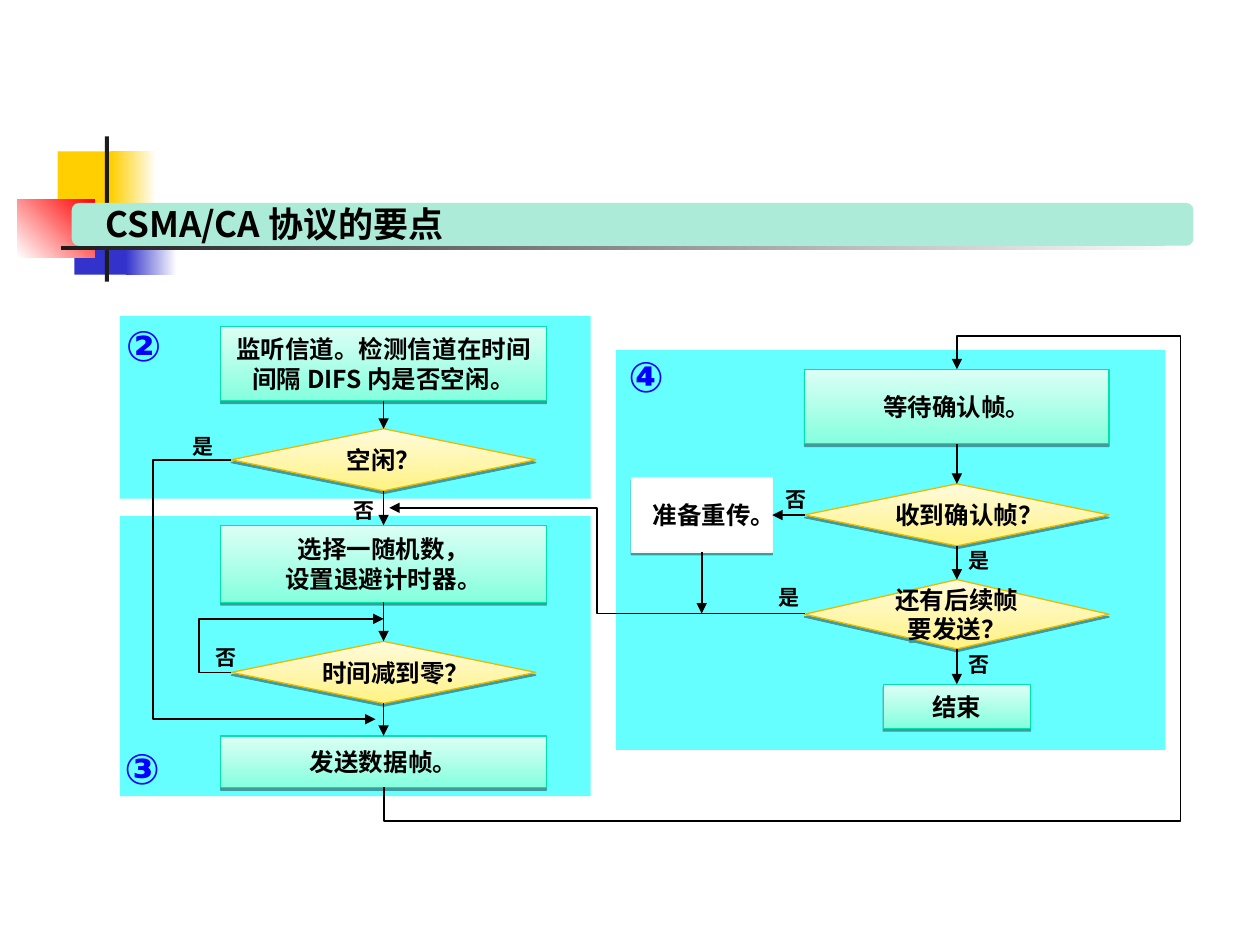
from dataclasses import dataclass

from lxml.etree import SubElement
from pptx import Presentation
from pptx.dml.color import RGBColor
from pptx.enum.shapes import MSO_CONNECTOR, MSO_SHAPE
from pptx.enum.text import MSO_ANCHOR, MSO_AUTO_SIZE, PP_ALIGN
from pptx.oxml.ns import qn
from pptx.util import Pt


@dataclass(frozen=True)
class Theme:
    font: str = "Noto Sans CJK SC"
    number_font: str = "Arial"
    title_size: int = 20
    number_size: int = 24
    node_size: int = 14
    label_size: int = 12
    black: str = "000000"
    white: str = "FFFFFF"
    ink: str = "1C1C1C"
    yellow: str = "FFCF01"
    blue: str = "3333CC"
    red: str = "FF0000"
    number: str = "0000FF"
    panel: str = "66FFFF"
    bar: str = "ABEBD7"
    # Node styles: bottom colour, top colour, outline
    step: tuple = ("85FFDE", "DCFFF5", "00E4A7")
    choice: tuple = ("FFF284", "FFFBDC", "E7BA00")
    plain: tuple = ("FFFFFF", "FFFFFF", "F9F9F9")


T = Theme()


def write(shape, text, size=T.node_size, color=T.black, font=T.font,
          align=PP_ALIGN.LEFT, anchor=MSO_ANCHOR.TOP, wrap=False):
    tf = shape.text_frame
    tf.word_wrap = wrap
    tf.auto_size = MSO_AUTO_SIZE.NONE if wrap else MSO_AUTO_SIZE.SHAPE_TO_FIT_TEXT
    tf.vertical_anchor = anchor
    for i, line in enumerate(text.split("\n")):
        p = tf.paragraphs[0] if i == 0 else tf.add_paragraph()
        p.alignment = align
        r = p.add_run()
        r.text = line
        r.font.size = Pt(size)
        r.font.bold = True
        r.font.name = font
        r.font.color.rgb = RGBColor.from_string(color)
        SubElement(r.font._element, qn("a:ea"), typeface=font)


def add_block(kind, box, colors, angle=0):
    """Add a borderless shape; two colours make a gradient."""
    sp = s.shapes.add_shape(kind, *map(Pt, box))
    sp.shadow.inherit = False
    sp.line.fill.background()
    if len(colors) == 1:
        sp.fill.solid()
        sp.fill.fore_color.rgb = RGBColor.from_string(colors[0])
    else:
        sp.fill.gradient()
        sp.fill.gradient_angle = angle
        for stop, color in zip(sp.fill.gradient_stops, colors):
            stop.color.rgb = RGBColor.from_string(color)
    return sp


prs = Presentation()
prs.slide_width, prs.slide_height = Pt(720), Pt(540)
s = prs.slides.add_slide(prs.slide_layouts[5])

# Corner ornament, panels and title bar
for box, colors, angle in [
    ((33, 86.5, 34.5, 37.5), (T.yellow,), 0),
    ((63.5, 86.5, 26, 37.5), (T.yellow, T.white), 0),
    ((42.5, 119.5, 33, 37.5), (T.blue,), 0),
    ((72, 119.5, 29, 37.5), (T.blue, T.white), 0),
    ((10, 114, 44, 33), (T.white, T.red), 45),
    ((60, 78, 2.2, 83), (T.ink,), 0),
    ((34.6, 140.5, 648, 2.2), (T.ink, T.white), 0),
    ((352, 200, 314, 228.5), (T.panel,), 0),
    ((68.5, 295, 269, 160), (T.panel,), 0),
    ((68.5, 180.5, 269, 104.5), (T.panel,), 0),
]:
    add_block(MSO_SHAPE.RECTANGLE, box, colors, angle)
add_block(MSO_SHAPE.ROUNDED_RECTANGLE, (41, 116, 641, 24.5), (T.bar,))

title = s.shapes.title
title.left, title.top, title.width, title.height = map(Pt, (53, 112.3, 216, 31.7))
write(title, "CSMA/CA 协议的要点", size=T.title_size)
s.shapes.element.append(title.element)  # bring in front of the bar

for text, x, y in [("②", 64.8, 179.3), ("③", 64, 420.5), ("④", 352, 196.5)]:
    tb = s.shapes.add_textbox(Pt(x), Pt(y), Pt(35.5), Pt(36))
    write(tb, text, size=T.number_size, color=T.number, font=T.number_font)

# Flowchart nodes, centred on their column
LEFT, RIGHT, RETRY = 219.2, 546.8, 401
RECT, DIAMOND = MSO_SHAPE.RECTANGLE, MSO_SHAPE.DIAMOND
for text, kind, style, cx, y, w, h in [
    ("监听信道。检测信道在时间间隔 DIFS 内是否空闲。", RECT, T.step, LEFT, 186.5, 186, 42.5),
    ("空闲？", DIAMOND, T.choice, LEFT, 245, 174, 35.5),
    ("选择一随机数，\n设置退避计时器。", RECT, T.step, LEFT, 300.2, 186, 44),
    ("时间减到零？", DIAMOND, T.choice, LEFT, 366.5, 174, 35.5),
    ("发送数据帧。", RECT, T.step, LEFT, 420.5, 186, 29.5),
    ("等待确认帧。", RECT, T.step, RIGHT, 211, 174, 42.5),
    ("收到确认帧？", DIAMOND, T.choice, RIGHT, 276.5, 174, 35.5),
    ("还有后续帧要发送？", DIAMOND, T.choice, RIGHT, 331.2, 174, 39.6),
    ("结束", RECT, T.step, RIGHT, 391, 84.2, 25.2),
    ("准备重传。", RECT, T.plain, RETRY, 273, 80.6, 42.5),
]:
    bottom, top, outline = style
    sp = add_block(kind, (cx - w / 2, y, w, h), (bottom, top), 90)
    sp.line.color.rgb = RGBColor.from_string(outline)
    sp.line.width = Pt(0.75)
    shadow = SubElement(sp.element.spPr.find(qn("a:effectLst")), qn("a:outerShdw"),
                        blurRad="0", dist=str(Pt(1.6)), dir="5400000", rotWithShape="0")
    shade = SubElement(shadow, qn("a:srgbClr"), val=T.black)
    SubElement(shade, qn("a:alpha"), val="38000")
    write(sp, text, align=PP_ALIGN.CENTER, anchor=MSO_ANCHOR.MIDDLE, wrap=True)

# Arrows: start, end, bend positions as shares of the box, quarter turns
for start, end, bends, turns in [
    ((LEFT, 229), (LEFT, 245), (), 0),
    ((LEFT, 280.5), (LEFT, 300.2), (), 0),
    ((LEFT, 344.2), (LEFT, 366.5), (), 0),
    ((LEFT, 402), (LEFT, 420.5), (), 0),
    ((RIGHT, 253.5), (RIGHT, 276.5), (), 0),
    ((RIGHT, 312), (RIGHT, 331.2), (), 0),
    ((RIGHT, 370.8), (RIGHT, 391), (), 0),
    ((RETRY, 315.5), (RETRY, 350.6), (), 0),
    ((460, 294.3), (441.3, 294.3), (), 0),
    ((460, 350.6), (222.5, 290.2), (0.5,), 0),
    ((132, 384.3), (LEFT, 353.7), (-0.21,), 0),
    ((132, 262.8), (214.6, 411), (-0.54,), 0),
    ((502.5, 494.3), (263.5, 166.7), (-0.08, 1.39, 1.08), 1),
]:
    kind = MSO_CONNECTOR.ELBOW if bends else MSO_CONNECTOR.STRAIGHT
    c = s.shapes.add_connector(kind, *map(Pt, start + end))
    c.line.color.rgb = RGBColor.from_string(T.black)
    c.line.width = Pt(1)
    SubElement(c.line._get_or_add_ln(), qn("a:tailEnd"), type="triangle")
    spPr = c.element.spPr
    SubElement(spPr, qn("a:effectLst"))
    if turns:
        spPr.find(qn("a:xfrm")).set("rot", str(turns * 5400000))
    if bends:
        geom = spPr.find(qn("a:prstGeom"))
        geom.set("prst", f"bentConnector{len(bends) + 2}")
        for i, bend in enumerate(bends, 1):
            name = f"adj{i}"
            SubElement(geom.find(qn("a:avLst")), qn("a:gd"), name=name,
                       fmla=f"val {round(bend * 100000)}")

# Branch labels
for text, x, y in [
    ("是", 546.5, 309.6), ("否", 546.5, 368.6), ("是", 103, 244), ("否", 116, 365),
    ("否", 195, 280.8), ("否", 442, 274.3), ("是", 437.8, 330.5),
]:
    tb = s.shapes.add_textbox(Pt(x), Pt(y), Pt(26), Pt(21.6))
    write(tb, text, size=T.label_size)

prs.save("out.pptx")
